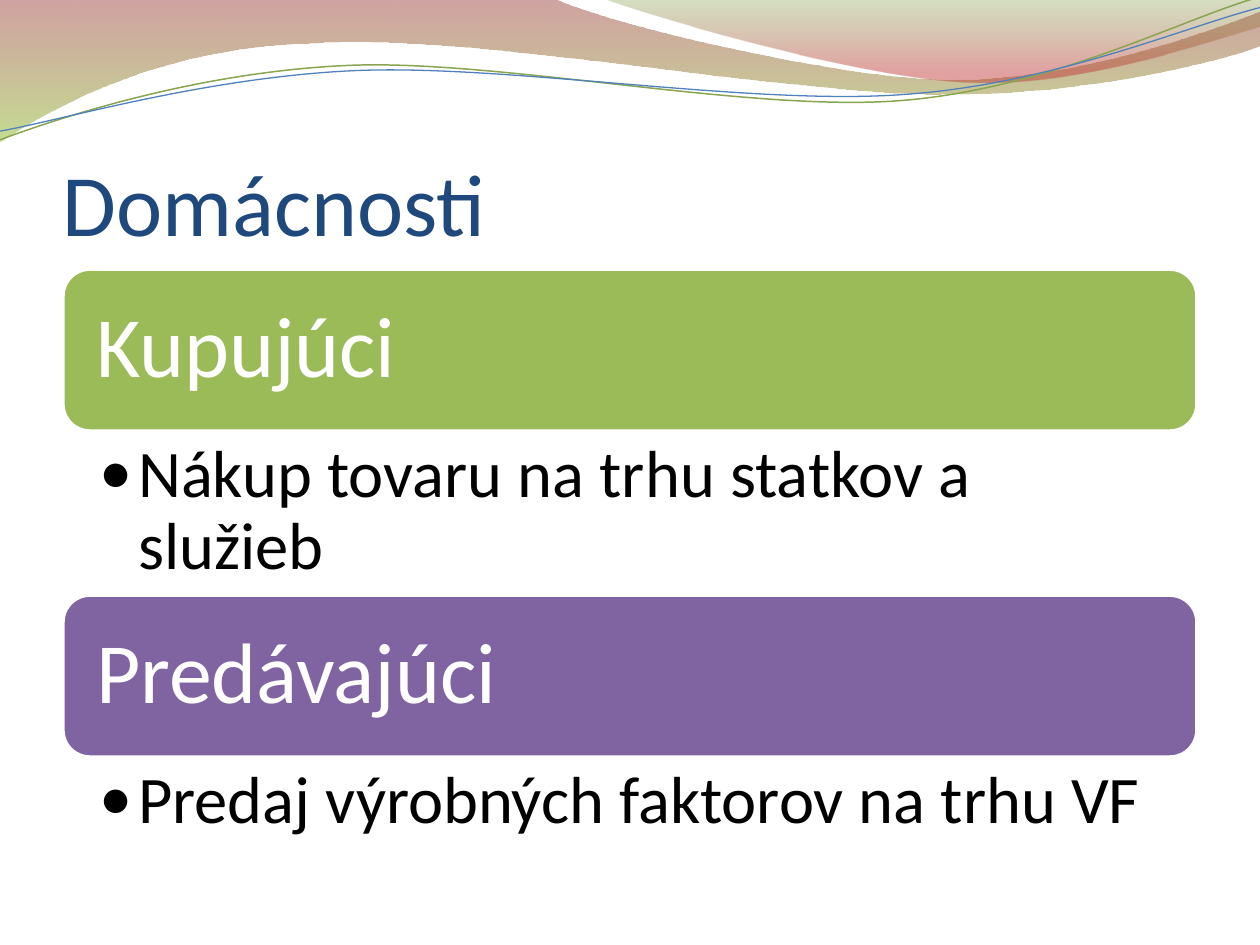
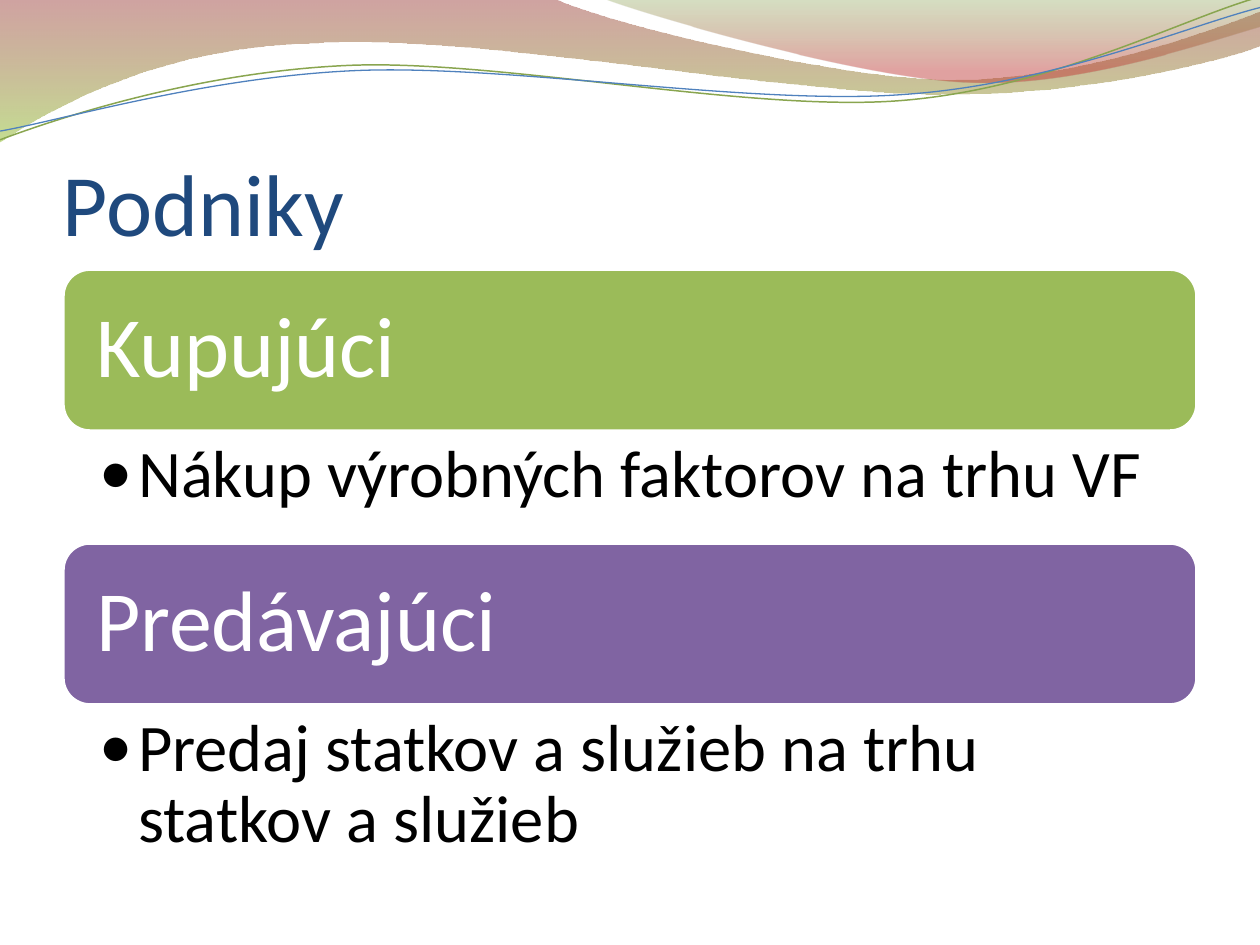
from itertools import chain, islice
from typing import Any, NamedTuple, Optional

from lxml.etree import SubElement
from pptx import Presentation
from pptx.dml.color import RGBColor
from pptx.enum.shapes import MSO_SHAPE
from pptx.enum.text import MSO_ANCHOR, PP_ALIGN
from pptx.oxml.ns import qn
from pptx.slide import Slide
from pptx.text.text import TextFrame
from pptx.util import Pt

NAVY = RGBColor(0x1F, 0x49, 0x7D)
GREEN = RGBColor(0x9B, 0xBB, 0x59)
PURPLE = RGBColor(0x80, 0x64, 0xA2)
WHITE = RGBColor(0xFF, 0xFF, 0xFF)
BLACK = RGBColor(0x00, 0x00, 0x00)
BRICK = RGBColor(0x97, 0x33, 0x30)
LIME = RGBColor(0x95, 0xC2, 0x38)
OLIVE = RGBColor(0x76, 0x95, 0x37)
RED = RGBColor(0xBE, 0x33, 0x30)
LEAF = RGBColor(0x89, 0xA5, 0x4F)
BLUE = RGBColor(0x4F, 0x81, 0xBD)

FONT = "Calibri"
LEFT, WIDTH = 36, 648
TITLE_TOP, TITLE_HEIGHT = 55.4, 90
BLOCKS_TOP, BAR_HEIGHT = 153.8, 92.5
BODY_HEIGHTS = {1: 64, 2: 93.8}
BULLET_INDENT = 22.4

Point = tuple[float, float]


class Stop(NamedTuple):
    """A gradient stop: position and opacity in percent."""

    position: int
    color: RGBColor
    opacity: int


class Wave(NamedTuple):
    """A header wave; a segment of three points is a Bezier curve, of one a line."""

    start: Point
    segments: list[list[Point]]
    stops: tuple[Stop, ...] = ()
    line: Optional[RGBColor] = None
    line_width: float = 0


class Block(NamedTuple):
    """A coloured heading bar with a bullet below it."""

    heading: str
    color: RGBColor
    body: str
    body_lines: int


class Page(NamedTuple):
    """The content of one slide."""

    title: str
    blocks: list[Block]


WAVES = [
    Wave((0, 0), [
        [(316.8, -0.7)],
        [(342.7, 12.2), (478.1, 45.4), (545.8, 45.4)],
        [(614.2, 45.4), (689.8, 18.7), (720, 6.5)],
        [(720.7, 25.9)],
        [(707.8, 31.7), (626.4, 54.7), (537.1, 54)],
        [(447.8, 54), (275, 20.2), (185, 24.5)],
        [(92.9, 25.9), (33.1, 59.8), (-0.7, 81.4)],
    ], stops=(Stop(0, BRICK, 45), Stop(100, LIME, 55))),
    Wave((344.9, -0.7), [
        [(366.5, 7.9), (491, 44.6), (553.7, 46.8)],
        [(616.3, 49.7), (691.9, 23), (720, 15.1)],
        [(720, 0)],
    ], stops=(Stop(0, OLIVE, 30), Stop(80, RED, 45))),
    Wave((0, 79.9), [
        [(34.6, 67), (113.8, 41), (199.4, 37.4)],
        [(284.4, 33.8), (427, 64.1), (513.4, 57.6)],
        [(599.8, 51.1), (675.4, 10.8), (718.6, -1.4)],
    ], line=LEAF, line_width=0.85),
    Wave((0, 74.9), [
        [(33.8, 69.1), (118.1, 43.9), (203.8, 40.3)],
        [(290.2, 36.7), (429.8, 60.5), (516.2, 54)],
        [(601.9, 48.2), (677.5, 15.1), (720, 4.3)],
    ], line=BLUE, line_width=0.75),
]

PAGES = [
    Page("Domácnosti", [
        Block("Kupujúci", GREEN, "Nákup tovaru na trhu statkov a služieb", 2),
        Block("Predávajúci", PURPLE, "Predaj výrobných faktorov na trhu VF", 1),
    ]),
    Page("Podniky", [
        Block("Kupujúci", GREEN, "Nákup výrobných faktorov na trhu VF", 1),
        Block("Predávajúci", PURPLE,
              "Predaj statkov a služieb na trhu statkov a služieb", 2),
    ]),
]


def set_all(target: Any, values: dict[str, Any]) -> None:
    """Set attributes of an object from a dict."""
    for name, value in values.items():
        setattr(target, name, value)


def bend(sp: Any, segments: list[list[Point]]) -> None:
    """Turn the drawn lines of each three-point segment into one Bezier curve."""
    outline = next(sp._element.iter(qn("a:path")))
    lines = iter(outline.findall(qn("a:lnTo")))
    for segment in segments:
        first, *others = islice(lines, len(segment))
        for other in others:
            first.append(other[0])
            outline.remove(other)
        if others:
            first.tag = qn("a:cubicBezTo")


def fill_gradient(sp: Any, stops: tuple[Stop, ...]) -> None:
    """Fill a shape with a translucent gradient running downwards."""
    sp.fill.gradient()
    grad = sp._element.spPr.find(qn("a:gradFill"))
    for child in list(grad):
        grad.remove(child)
    gs_list = SubElement(grad, qn("a:gsLst"))
    for stop in stops:
        gs = SubElement(gs_list, qn("a:gs"), pos=str(stop.position * 1000))
        color = SubElement(gs, qn("a:srgbClr"), val=str(stop.color))
        SubElement(color, qn("a:alpha"), val=str(stop.opacity * 1000))
    SubElement(grad, qn("a:lin"), ang="5400000", scaled="0")


def add_wave(s: Slide, wave: Wave) -> None:
    """Draw one header wave."""
    points = chain([wave.start], *wave.segments)
    (x, y), *rest = [(Pt(px), Pt(py)) for px, py in points]
    builder = s.shapes.build_freeform(x, y)
    builder.add_line_segments(rest, close=bool(wave.stops))
    sp = builder.convert_to_shape()
    bend(sp, wave.segments)
    sp.shadow.inherit = False
    if wave.stops:
        fill_gradient(sp, wave.stops)
    else:
        sp.fill.background()
    if wave.line is None:
        sp.line.fill.background()
    else:
        sp.line.color.rgb = wave.line
        sp.line.width = Pt(wave.line_width)


def write(tf: TextFrame, text: str, size: float, color: RGBColor, anchor: MSO_ANCHOR,
          margins: tuple[float, float, float, float], spacing: float = 1,
          bullet: bool = False) -> None:
    """Write one left-aligned paragraph; margins run left, top, right, bottom."""
    left, top, right, bottom = map(Pt, margins)
    set_all(tf, dict(word_wrap=True, vertical_anchor=anchor, margin_left=left,
                     margin_top=top, margin_right=right, margin_bottom=bottom))
    p = tf.paragraphs[0]
    set_all(p, dict(alignment=PP_ALIGN.LEFT, line_spacing=spacing))
    if bullet:
        p_pr = p._p.get_or_add_pPr()
        p_pr.set("marL", str(Pt(BULLET_INDENT)))
        p_pr.set("indent", str(-Pt(BULLET_INDENT)))
        SubElement(p_pr, qn("a:buFont"), typeface=FONT)
        SubElement(p_pr, qn("a:buChar"), char="•")
    r = p.add_run()
    r.text = text
    set_all(r.font, dict(name=FONT, size=Pt(size)))
    r.font.color.rgb = color
    r._r.get_or_add_rPr().set("kern", "1200")


def add_block(s: Slide, block: Block, top: float) -> float:
    """Draw a bar with its bullet and return where the next block starts."""
    sp = s.shapes.add_shape(MSO_SHAPE.ROUNDED_RECTANGLE, Pt(LEFT), Pt(top),
                            Pt(WIDTH), Pt(BAR_HEIGHT))
    sp.shadow.inherit = False
    sp.fill.solid()
    sp.fill.fore_color.rgb = block.color
    sp.line.color.rgb = WHITE
    sp.line.width = Pt(2)
    write(sp.text_frame, block.heading, 49, WHITE, MSO_ANCHOR.MIDDLE,
          (14.4, 14.4, 14.4, 14.4), spacing=0.9)
    top += BAR_HEIGHT
    height = BODY_HEIGHTS[block.body_lines]
    box = s.shapes.add_textbox(Pt(LEFT), Pt(top), Pt(WIDTH), Pt(height))
    write(box.text_frame, block.body, 38, BLACK, MSO_ANCHOR.TOP,
          (20.6, 5, 27.4, 5), spacing=0.9, bullet=True)
    return top + height


def add_page(prs: Any, page: Page) -> None:
    """Add one slide with waves, title and blocks."""
    s = prs.slides.add_slide(prs.slide_layouts[6])
    for wave in WAVES:
        add_wave(s, wave)
    box = s.shapes.add_textbox(Pt(LEFT), Pt(TITLE_TOP), Pt(WIDTH), Pt(TITLE_HEIGHT))
    write(box.text_frame, page.title, 50, NAVY, MSO_ANCHOR.BOTTOM, (0, 3.6, 0, 0))
    top = BLOCKS_TOP
    for block in page.blocks:
        top = add_block(s, block, top)


def main() -> None:
    """Build and save the presentation."""
    prs = Presentation()
    set_all(prs, dict(slide_width=Pt(720), slide_height=Pt(540)))
    for page in PAGES:
        add_page(prs, page)
    prs.save("out.pptx")


if __name__ == "__main__":
    main()
